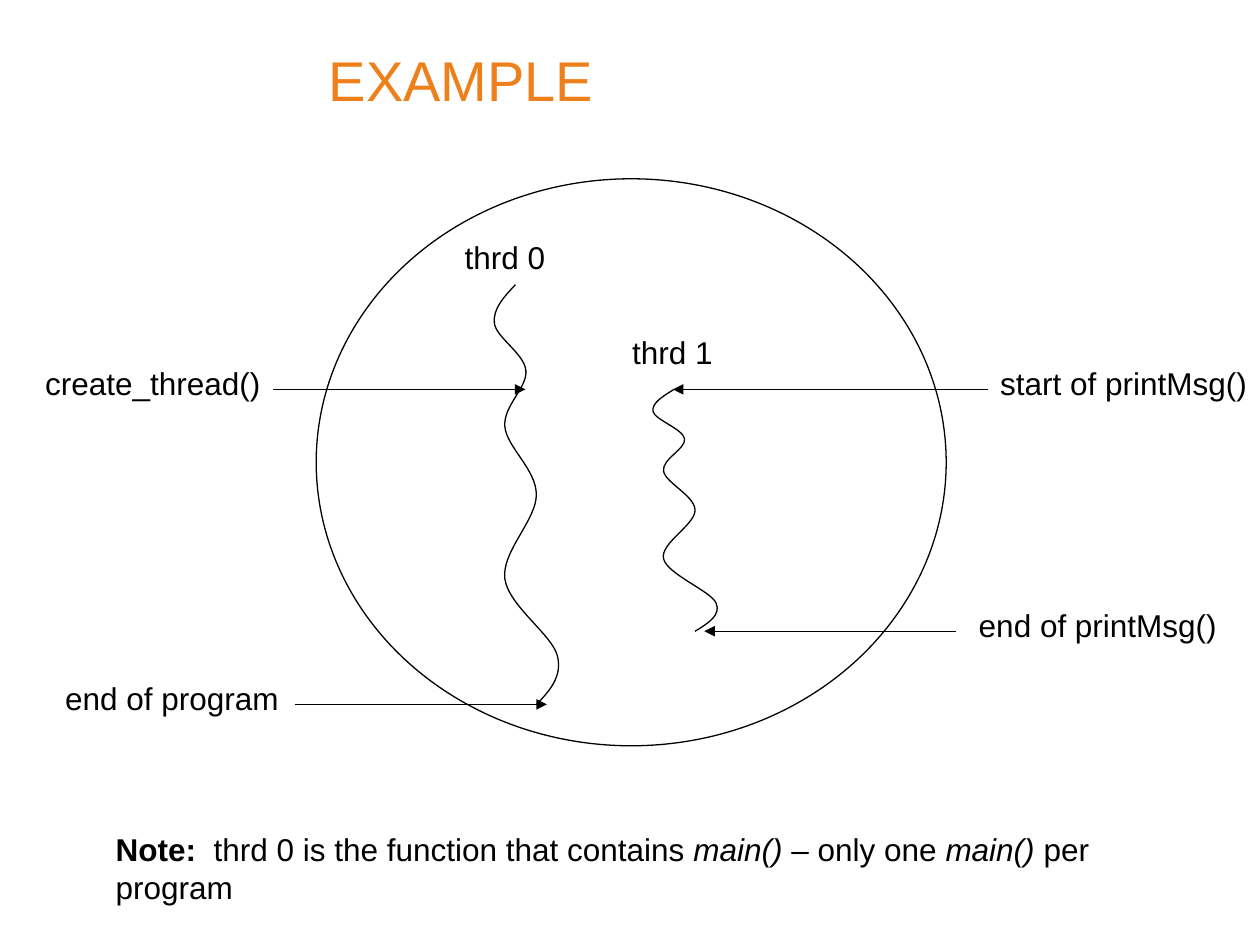
from lxml.etree import SubElement
from pptx import Presentation
from pptx.dml.color import RGBColor
from pptx.enum.shapes import MSO_CONNECTOR as Connector, MSO_SHAPE as Shape
from pptx.enum.text import MSO_ANCHOR as Anchor, MSO_AUTO_SIZE as AutoSize, PP_ALIGN as Align
from pptx.oxml.ns import qn
from pptx.util import Pt

FONT = "Arial"
INK = "000000"
ORANGE = "EE801C"
LABEL_HEIGHT = 28.8

# Thread outline: offsets of its turning points from its start
THREAD_NODES = [(0, 0), (-12, 22), (6, 49), (-6, 81), (12, 120),
                (-6, 168), (24, 212), (12, 240)]

# Each thread: name, label left, top, then thread left, top, height scale
THREADS = [
    ("thrd 0", 77.8, 30.3, 113.8, 60.5, 1),
    ("thrd 1", 173.5, 84.3, 204.5, 120.3, 0.576),
]

# Each event: name, label left, width, then arrow start, arrow end, level
EVENTS = [
    ("create_thread()", -162, 137.5, -24.5, 119.5, 120.3),
    ("start of printMsg()", 383.8, 155.5, 383.8, 203.8, 120.3),
    ("end of printMsg()", 371.5, 150.5, 365.8, 221.8, 258.5),
    ("end of program", -150.5, 136.8, -12.2, 131.8, 300.3),
]


def color(value):
    return RGBColor.from_string(value)


def add_run(paragraph, text, size=18, ink=INK, bold=False, italic=False):
    run = paragraph.add_run()
    run.text = text
    font = run.font
    font.name, font.size, font.bold, font.italic = FONT, Pt(size), bold, italic
    font.color.rgb = color(ink)


def add_label(slide, left, top, width, *parts):
    """Add one line of text; each part is a text and its format."""
    box = slide.shapes.add_textbox(Pt(left), Pt(top), Pt(width), Pt(LABEL_HEIGHT))
    frame = box.text_frame
    frame.word_wrap = False
    frame.auto_size = AutoSize.SHAPE_TO_FIT_TEXT
    for text, style in parts:
        add_run(frame.paragraphs[0], text, **style)


def set_outline(shape):
    shape.line.color.rgb = color(INK)
    shape.line.width = Pt(0.75)


def add_arrow(slide, start, end, level):
    arrow = slide.shapes.add_connector(
        Connector.STRAIGHT, Pt(start), Pt(level), Pt(end), Pt(level))
    set_outline(arrow)
    SubElement(arrow.line._get_or_add_ln(), qn("a:tailEnd"), type="triangle")
    SubElement(arrow._element.spPr, qn("a:effectLst"))


def midpoint(a, b):
    return (a[0] + b[0]) / 2, (a[1] + b[1]) / 2


def smooth_controls(nodes):
    """Return the control and end points of a smooth curve through the nodes."""
    before, after = {}, {}
    for i in range(1, len(nodes) - 1):
        x, y = nodes[i]
        dx = (nodes[i + 1][0] - nodes[i - 1][0]) / 6
        dy = (nodes[i + 1][1] - nodes[i - 1][1]) / 6
        before[i], after[i] = (x - dx, y - dy), (x + dx, y + dy)
    last = len(nodes) - 1
    after[0] = midpoint(nodes[0], before[1])
    before[last] = midpoint(nodes[last], after[last - 1])
    return [point for i in range(last)
            for point in (after[i], before[i + 1], nodes[i + 1])]


def add_thread(slide, left, top, scale):
    nodes = [(left + x, top + y * scale) for x, y in THREAD_NODES]
    builder = slide.shapes.build_freeform(Pt(left), Pt(top))
    builder.add_line_segments(
        [(Pt(x), Pt(y)) for x, y in smooth_controls(nodes)], close=False)
    thread = builder.convert_to_shape()
    thread.shadow.inherit = False
    thread.fill.background()
    set_outline(thread)
    # Turn each three line segments into one curve
    outline = next(thread._element.iter(qn("a:path")))
    segments = outline.findall(qn("a:lnTo"))
    for i in range(0, len(segments), 3):
        curve = SubElement(outline, qn("a:cubicBezTo"))
        for segment in segments[i:i + 3]:
            curve.append(segment[0])
            outline.remove(segment)


def add_title(slide, left, top, width, height):
    title = slide.shapes.title
    title.left, title.top = Pt(left), Pt(top)
    title.width, title.height = Pt(width), Pt(height)
    frame = title.text_frame
    frame.vertical_anchor = Anchor.MIDDLE
    frame.paragraphs[0].alignment = Align.LEFT
    add_run(frame.paragraphs[0], "EXAMPLE", size=32, ink=ORANGE)


def add_process(slide, left, top, width, height):
    # Process boundary
    process = slide.shapes.add_shape(
        Shape.OVAL, Pt(left), Pt(top), Pt(width), Pt(height))
    process.shadow.inherit = False
    process.fill.background()
    set_outline(process)
    # Threads inside it
    for name, label_x, label_y, x, y, scale in THREADS:
        add_thread(slide, left + x, top + y, scale)
        add_label(slide, left + label_x, top + label_y, 60.5, (name, {}))
    # Events that point to the threads
    for name, label_x, label_width, start, end, level in EVENTS:
        add_arrow(slide, left + start, left + end, top + level)
        add_label(slide, left + label_x, top + level - 18, label_width, (name, {}))


def add_note(slide, left, top, width):
    add_label(slide, left, top, width,
              ("Note:", {"bold": True}),
              ("  thrd 0 is the function that contains ", {}),
              ("main()", {"italic": True}),
              (" – only one ", {}),
              ("main()", {"italic": True}),
              (" per program", {}))


def main():
    deck = Presentation()
    deck.slide_width, deck.slide_height = Pt(720), Pt(540)
    slide = deck.slides.add_slide(deck.slide_layouts[5])
    add_title(slide, 180.7, 0, 222.5, 90)
    add_process(slide, 180.7, 102.2, 360, 324)
    add_note(slide, 59, 470.9, 642.2)
    deck.save("out.pptx")


if __name__ == "__main__":
    main()
